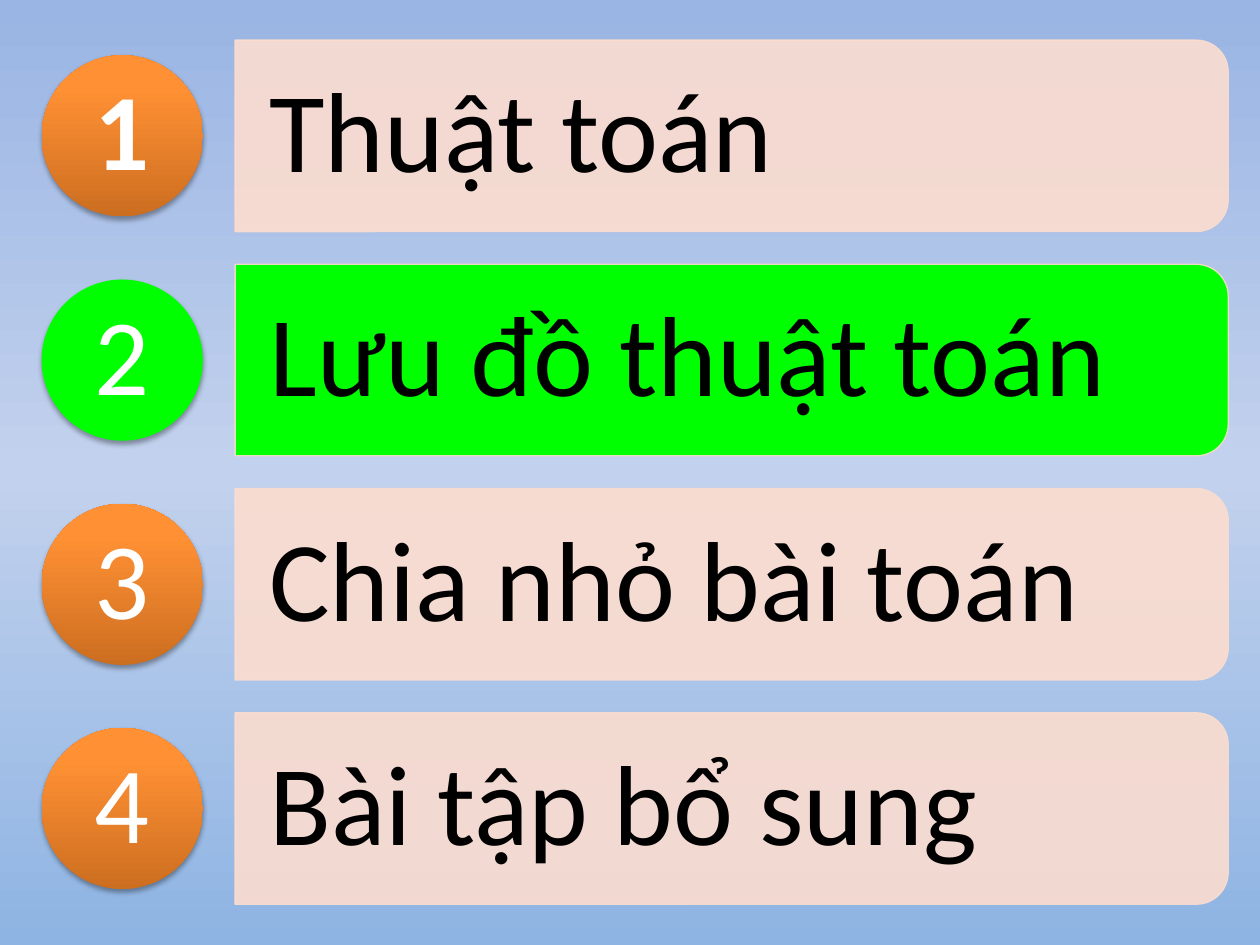
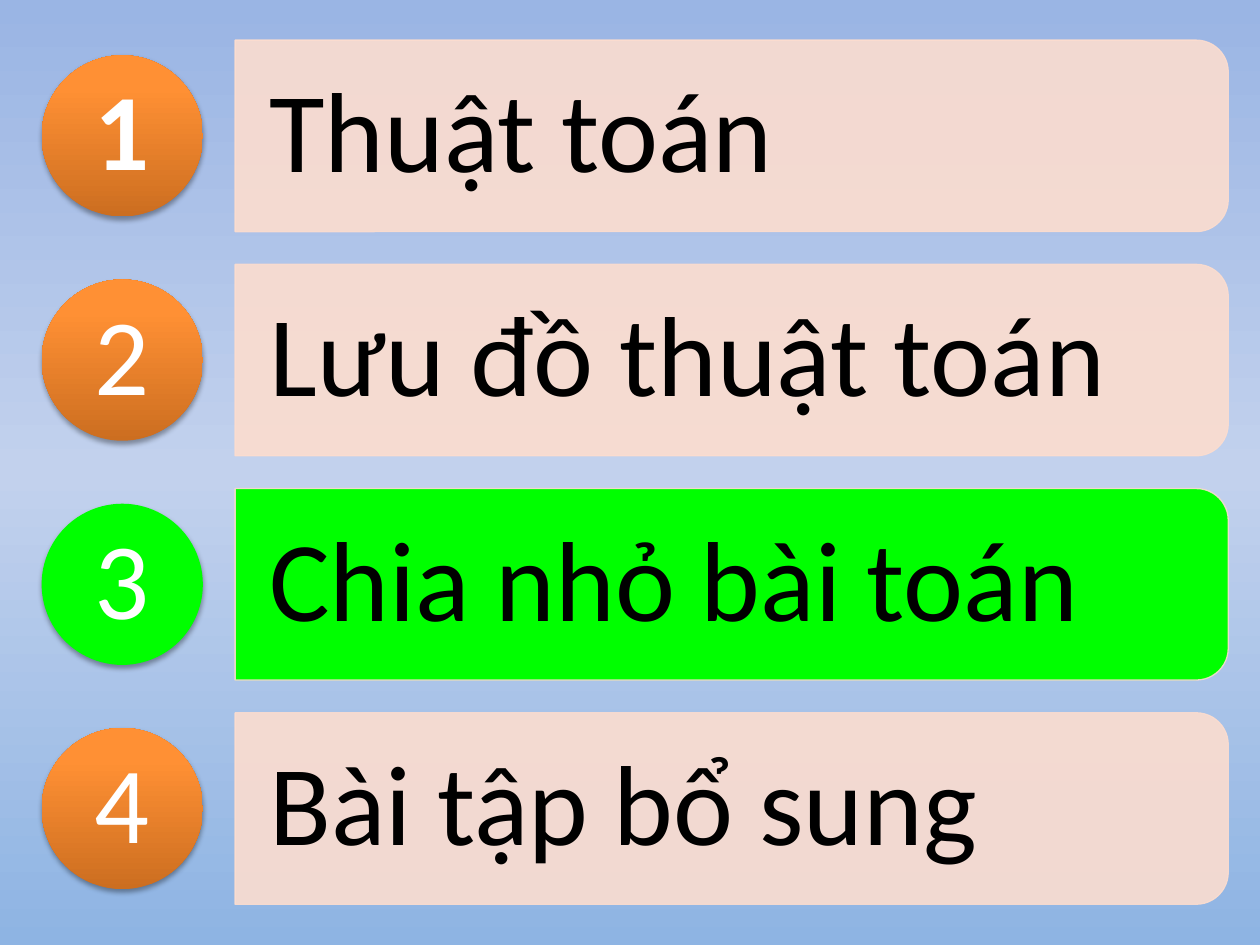
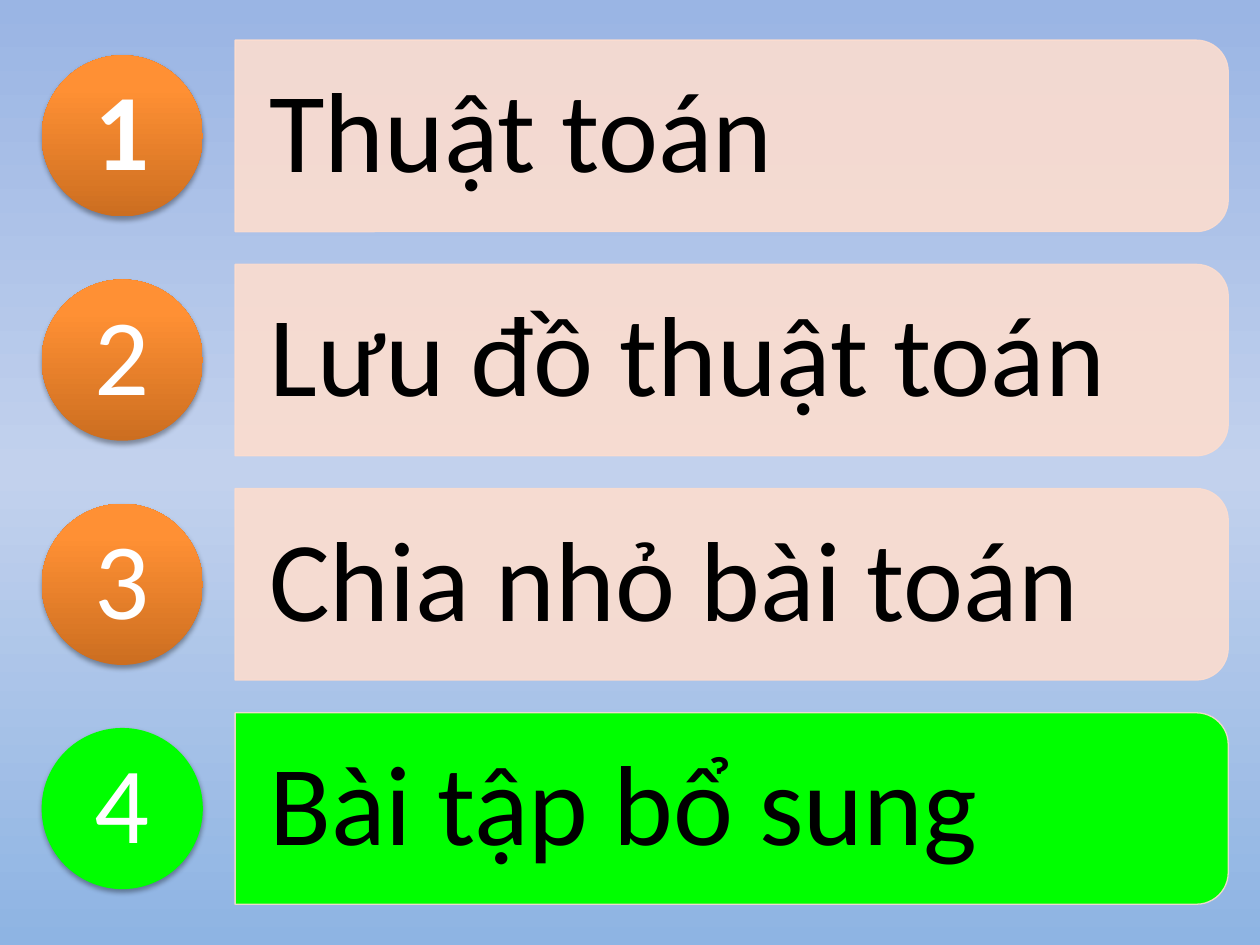
from dataclasses import dataclass

import lxml.etree
import pptx
import pptx.dml.color
import pptx.dml.fill
import pptx.enum.shapes
import pptx.enum.text
import pptx.oxml.ns
import pptx.shapes.autoshape
import pptx.slide
import pptx.text.text
import pptx.util

Cm = pptx.util.Cm
Pt = pptx.util.Pt
RGBColor = pptx.dml.color.RGBColor
MSO_SHAPE = pptx.enum.shapes.MSO_SHAPE
PP_ALIGN = pptx.enum.text.PP_ALIGN
qn = pptx.oxml.ns.qn

FONT = "Calibri"
BLACK = RGBColor(0x00, 0x00, 0x00)
WHITE = RGBColor(0xFF, 0xFF, 0xFF)
PEACH = RGBColor(0xFC, 0xDD, 0xCF)
HIGHLIGHT = RGBColor(0x00, 0xFF, 0x00)

Stops = list[tuple[int, RGBColor]]
BACKGROUND_STOPS: Stops = [
    (0, RGBColor(0x9A, 0xB5, 0xE4)),
    (50, RGBColor(0xC2, 0xD1, 0xED)),
    (100, RGBColor(0x8E, 0xB4, 0xE3)),
]
BADGE_STOPS: Stops = [
    (0, RGBColor(0xCC, 0x6E, 0x20)),
    (80, RGBColor(0xFF, 0x90, 0x34)),
    (100, RGBColor(0xFF, 0x91, 0x36)),
]

FIRST_ROW_CENTER = Cm(2.74)
ROW_PITCH = Cm(4.52)
BAR_LEFT, BAR_LENGTH, BAR_HEIGHT = Cm(4.74), Cm(20.02), Cm(3.86)
LABEL_WIDTH, LABEL_HEIGHT = Cm(19.84), Cm(3.48)
LABEL_SIDE_INSET, LABEL_TOP_INSET = Cm(0.69), Cm(0.46)
BADGE_LEFT, BADGE_DIAMETER = Cm(0.84), Cm(3.25)


@dataclass(frozen=True)
class Topic:
    number: int
    label: str
    bold_number: bool = False


TOPICS = [
    Topic(1, "Thuật toán", bold_number=True),
    Topic(2, "Lưu đồ thuật toán"),
    Topic(3, "Chia nhỏ bài toán"),
    Topic(4, "Bài tập bổ sung"),
]
CURRENT_TOPICS = [2, 3, 4]


def set_gradient(fill: pptx.dml.fill.FillFormat, owner: lxml.etree._Element,
                 stops: Stops, angle: int) -> None:
    """Fill with any number of stops; the angle runs counter-clockwise."""
    fill.gradient()
    fill.gradient_angle = angle
    stop_list = owner.find(".//" + qn("a:gsLst"))
    for old_stop in list(stop_list):
        stop_list.remove(old_stop)
    for position, color in stops:
        stop = lxml.etree.SubElement(stop_list, qn("a:gs"), pos=str(position * 1000))
        lxml.etree.SubElement(stop, qn("a:srgbClr"), val=str(color))


def set_opacity(color_element: lxml.etree._Element, percent: int) -> None:
    lxml.etree.SubElement(color_element, qn("a:alpha"), val=str(percent * 1000))


def add_soft_shadow(shape: pptx.shapes.autoshape.Shape) -> None:
    effects = shape.element.spPr.find(qn("a:effectLst"))
    shadow = lxml.etree.SubElement(
        effects, qn("a:outerShdw"), blurRad=str(Pt(3.1)), dist=str(Pt(1.8)),
        dir="5400000", rotWithShape="0")
    set_opacity(lxml.etree.SubElement(shadow, qn("a:srgbClr"), val=str(BLACK)), 35)


def write_text(text_frame: pptx.text.text.TextFrame, text: str, size: int,
               color: RGBColor, alignment: PP_ALIGN, side_inset: int = 0,
               top_inset: int = 0, bold: bool = False) -> None:
    text_frame.text = text
    text_frame.word_wrap = True
    text_frame.vertical_anchor = pptx.enum.text.MSO_ANCHOR.MIDDLE
    text_frame.margin_left = text_frame.margin_right = side_inset
    text_frame.margin_top = text_frame.margin_bottom = top_inset
    paragraph = text_frame.paragraphs[0]
    paragraph.alignment = alignment
    paragraph.line_spacing = 0.9
    font = paragraph.runs[0].font
    font.name = FONT
    font.size = Pt(size)
    font.bold = bold
    font.color.rgb = color


def add_bar(slide: pptx.slide.Slide, center: int, current: bool) -> None:
    """Add a bar turned a quarter so that its rounded end faces right."""
    bar = slide.shapes.add_shape(
        MSO_SHAPE.ROUND_2_SAME_RECTANGLE,
        BAR_LEFT + (BAR_LENGTH - BAR_HEIGHT) // 2, center - BAR_LENGTH // 2,
        BAR_HEIGHT, BAR_LENGTH)
    bar.rotation = 90
    bar.shadow.inherit = False
    bar.fill.solid()
    bar.fill.fore_color.rgb = HIGHLIGHT if current else PEACH
    bar.line.color.rgb = PEACH
    bar.line.width = Pt(0.75)
    for color_element in bar.element.spPr.iter(qn("a:srgbClr")):
        if color_element.get("val") == str(PEACH):
            set_opacity(color_element, 90)


def add_label(slide: pptx.slide.Slide, center: int, label: str) -> None:
    text_box = slide.shapes.add_textbox(
        BAR_LEFT, center - LABEL_HEIGHT // 2, LABEL_WIDTH, LABEL_HEIGHT)
    write_text(text_box.text_frame, label, 65, BLACK, PP_ALIGN.LEFT,
               LABEL_SIDE_INSET, LABEL_TOP_INSET)


def add_badge(slide: pptx.slide.Slide, center: int, topic: Topic, current: bool) -> None:
    badge = slide.shapes.add_shape(
        MSO_SHAPE.OVAL, BADGE_LEFT, center - BADGE_DIAMETER // 2,
        BADGE_DIAMETER, BADGE_DIAMETER)
    badge.shadow.inherit = False
    badge.line.fill.background()
    if current:
        badge.fill.solid()
        badge.fill.fore_color.rgb = HIGHLIGHT
    else:
        set_gradient(badge.fill, badge.element.spPr, BADGE_STOPS, 90)
    add_soft_shadow(badge)
    write_text(badge.text_frame, str(topic.number), 62, WHITE, PP_ALIGN.CENTER,
               bold=topic.bold_number)


def add_agenda(slide: pptx.slide.Slide, current_number: int) -> None:
    for row, topic in enumerate(TOPICS):
        center = FIRST_ROW_CENTER + row * ROW_PITCH
        current = topic.number == current_number
        add_bar(slide, center, current)
        add_label(slide, center, topic.label)
        add_badge(slide, center, topic, current)


def main() -> None:
    presentation = pptx.Presentation()
    presentation.slide_width = Cm(25.4)
    presentation.slide_height = Cm(19.05)
    master = presentation.slide_master
    background_fill = master.background.fill
    set_gradient(background_fill, master.element.find(".//" + qn("p:bgPr")),
                 BACKGROUND_STOPS, 270)
    blank_layout = presentation.slide_layouts.get_by_name("Blank")
    for current_number in CURRENT_TOPICS:
        add_agenda(presentation.slides.add_slide(blank_layout), current_number)
    presentation.save("out.pptx")


if __name__ == "__main__":
    main()
